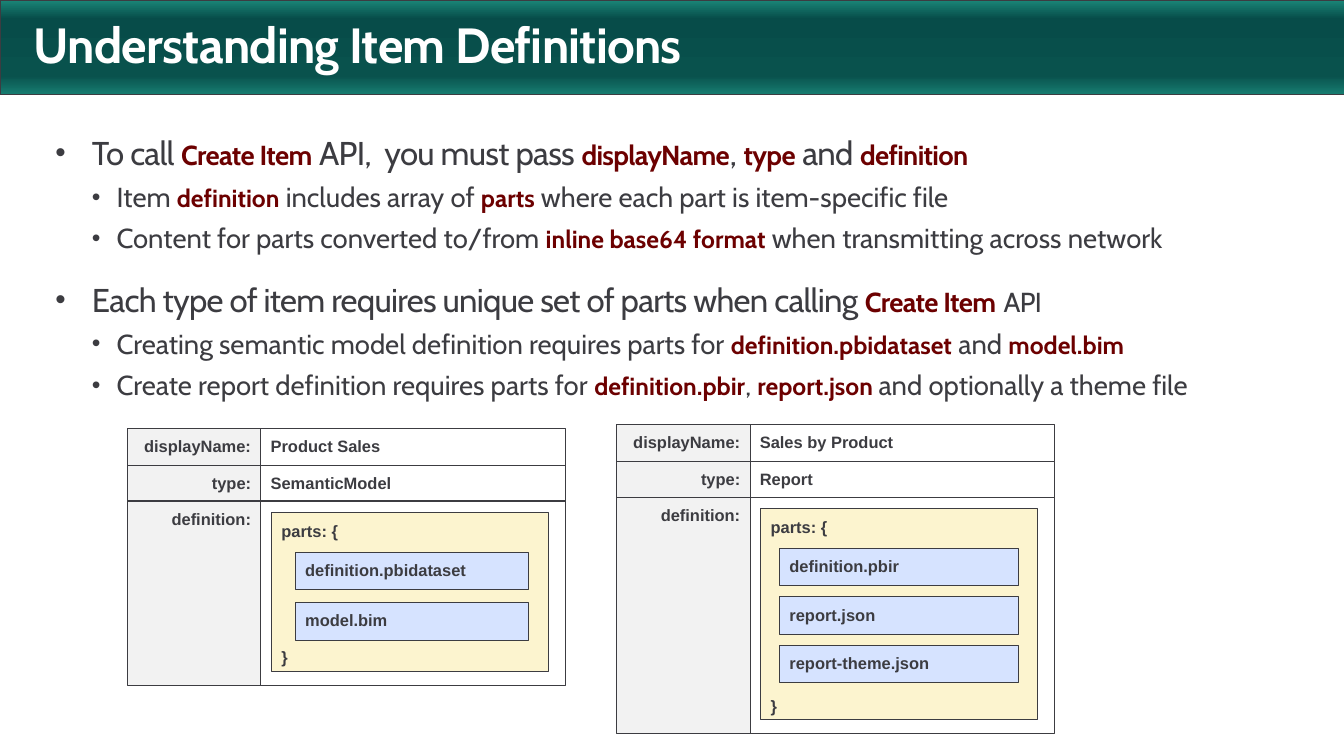
"""Builds the slide that explains item definitions."""
from dataclasses import dataclass

from lxml import etree
from pptx import Presentation
from pptx.dml.color import RGBColor
from pptx.enum.shapes import MSO_SHAPE
from pptx.enum.text import MSO_ANCHOR, MSO_AUTO_SIZE, PP_ALIGN
from pptx.oxml.ns import qn
from pptx.util import Inches, Pt

RECTANGLE = MSO_SHAPE.RECTANGLE
TOP, MIDDLE = MSO_ANCHOR.TOP, MSO_ANCHOR.MIDDLE
LEFT, RIGHT = PP_ALIGN.LEFT, PP_ALIGN.RIGHT
NO_AUTOFIT = MSO_AUTO_SIZE.NONE

INK, MAROON, WHITE = "3C3C41", "6C0000", "FFFFFF"
LABEL_GRAY, PARTS_YELLOW, FILE_BLUE = "F2F2F2", "FCF4CF", "D6E3FF"
BANNER_STOPS = ((1, "198375"), (20, "074C49"), (80, "09524D"), (100, "177D71"))
HEADING_FONT, CARD_FONT = "Cabin", "Arial"

LABEL_WIDTH, VALUE_WIDTH, PARTS_WIDTH = 1.35, 3.08, 2.8
ROW_HEIGHT, ROW_TOPS = 0.37, (0, 0.37, 0.73)
FILE_HEIGHT = 0.38


@dataclass(frozen=True)
class Phrase:
    text: str
    strong: bool = False
    size: int | None = None


@dataclass(frozen=True)
class BulletStyle:
    size: int
    strong_size: int
    margin: float
    hanging: float
    tracking: int


@dataclass(frozen=True)
class Bullet:
    level: int
    space_before: int
    phrases: tuple[Phrase, ...]


@dataclass(frozen=True)
class ItemCard:
    left: float
    top: float
    display_name: str
    item_type: str
    files: tuple[str, ...]
    definition_height: float
    file_inset: float
    file_width: float
    file_pitch: float
    brace_gap: int


def strong(text: str) -> Phrase:
    return Phrase(text, strong=True)


STYLES = (BulletStyle(24, 20, 0.37, 0.37, -50), BulletStyle(20, 18, 0.62, 0.25, 0))

BULLETS = (
    Bullet(0, 12, (Phrase("To call "), strong("Create Item"), Phrase(" API,  you must pass "),
                   strong("displayName"), Phrase(", "), strong("type"), Phrase(" and "),
                   strong("definition"))),
    Bullet(1, 6, (Phrase("Item "), strong("definition"), Phrase(" includes array of "),
                  strong("parts"), Phrase(" where each part is item-specific file"))),
    Bullet(1, 6, (Phrase("Content for parts converted to/from "), strong("inline base64 format"),
                  Phrase(" when transmitting across network"))),
    Bullet(0, 18, (Phrase("Each type of item requires unique set of parts when calling "),
                   strong("Create Item"), Phrase(" "), Phrase("API", size=20))),
    Bullet(1, 6, (Phrase("Creating semantic model definition requires parts for "),
                  strong("definition.pbidataset"), Phrase(" and "), strong("model.bim"))),
    Bullet(1, 6, (Phrase("Create report definition requires parts for "),
                  strong("definition.pbir"), Phrase(", "), strong("report.json "),
                  Phrase("and optionally a theme file"))),
)

CARDS = (
    ItemCard(1.29, 4.34, "Product Sales", "SemanticModel",
             ("definition.pbidataset", "model.bim"), 1.87, 1.7, 2.36, 0.51, 79),
    ItemCard(6.24, 4.3, "Sales by Product", "Report",
             ("definition.pbir", "report.json", "report-theme.json"), 2.39, 1.65, 2.42, 0.49, 118),
)


def rgb(value: str) -> RGBColor:
    return RGBColor.from_string(value)


def set_margins(frame, left: float = 0, top: float = 0, right: float = 0) -> None:
    frame.margin_left, frame.margin_top = Inches(left), Inches(top)
    frame.margin_right, frame.margin_bottom = Inches(right), 0
    frame.word_wrap = True
    frame.auto_size = NO_AUTOFIT


def add_box(shapes, left: float, top: float, width: float, height: float,
            fill: str, line_width: float = 0.75):
    box = shapes.add_shape(RECTANGLE, Inches(left), Inches(top), Inches(width), Inches(height))
    box.shadow.inherit = False
    box.fill.solid()
    box.fill.fore_color.rgb = rgb(fill)
    box.line.color.rgb = rgb(INK)
    box.line.width = Pt(line_width)
    return box


def write_lines(box, lines: tuple[str, ...], align=LEFT, anchor=MIDDLE, left: float = 0.1,
                top: float = 0, right: float = 0.1, gap: int = 0) -> None:
    frame = box.text_frame
    set_margins(frame, left, top, right)
    frame.vertical_anchor = anchor
    frame.text = "\n".join(lines)
    for paragraph in frame.paragraphs:
        paragraph.alignment = align
        paragraph.line_spacing = 0.9
        paragraph.font.name = CARD_FONT
        paragraph.font.size = Pt(12)
        paragraph.font.bold = True
        paragraph.font.color.rgb = rgb(INK)
    if gap:
        frame.paragraphs[-1].space_before = Pt(gap)


def add_banner(slide) -> None:
    banner = add_box(slide.shapes, 0, 0, 13.6, 0.96, BANNER_STOPS[0][1], 0.5)
    banner.fill.gradient()
    gradient = banner.element.spPr.find(qn("a:gradFill"))
    stops = gradient.find(qn("a:gsLst"))
    for stop in list(stops):
        stops.remove(stop)
    for position, color in BANNER_STOPS:
        stop = etree.SubElement(stops, qn("a:gs"), pos=str(position * 1000))
        etree.SubElement(stop, qn("a:srgbClr"), val=color)
    gradient.find(qn("a:lin")).set("ang", "5400000")
    slide.shapes.title.element.addprevious(banner.element)


def format_title(title) -> None:
    title.left, title.top = Inches(0.34), Inches(0.21)
    title.width, title.height = Inches(12.91), Inches(0.55)
    title.text_frame.text = "Understanding Item Definitions"
    set_margins(title.text_frame)
    title.text_frame.vertical_anchor = TOP
    paragraph = title.text_frame.paragraphs[0]
    paragraph.alignment = LEFT
    paragraph.line_spacing = 0.9
    paragraph.font.name = HEADING_FONT
    paragraph.font.size = Pt(36)
    paragraph.font.bold = True
    paragraph.font.color.rgb = rgb(WHITE)
    paragraph.runs[0].font._element.set("spc", "-50")


def write_bullet(paragraph, bullet: Bullet) -> None:
    style = STYLES[bullet.level]
    paragraph.level = bullet.level
    properties = paragraph._p.get_or_add_pPr()
    properties.set("marL", str(Inches(style.margin)))
    properties.set("indent", str(-Inches(style.hanging)))
    etree.SubElement(properties, qn("a:buSzPct"), val="90000")
    etree.SubElement(properties, qn("a:buFont"), typeface=CARD_FONT)
    etree.SubElement(properties, qn("a:buChar"), char="•")
    paragraph.space_before = Pt(bullet.space_before)
    paragraph.font.name = HEADING_FONT
    for phrase in bullet.phrases:
        run = paragraph.add_run()
        run.text = phrase.text
        run.font.size = Pt(phrase.size or (style.strong_size if phrase.strong else style.size))
        run.font.bold = phrase.strong
        run.font.color.rgb = rgb(MAROON if phrase.strong else INK)
        run.font._element.set("spc", str(style.tracking))


def add_bullets(slide) -> None:
    body = slide.shapes.add_textbox(Inches(0.56), Inches(1.34), Inches(12.69), Inches(3.58))
    frame = body.text_frame
    set_margins(frame)
    for index, bullet in enumerate(BULLETS):
        write_bullet(frame.add_paragraph() if index else frame.paragraphs[0], bullet)


def add_card(slide, card: ItemCard) -> None:
    shapes = slide.shapes.add_group_shape().shapes
    heights = (ROW_HEIGHT, ROW_HEIGHT, card.definition_height)
    rows = (("displayName:", card.display_name), ("type:", card.item_type), ("definition:", ""))
    for (label, value), offset, height in zip(rows, ROW_TOPS, heights):
        top = card.top + offset
        label_box = add_box(shapes, card.left, top, LABEL_WIDTH, height, LABEL_GRAY)
        value_box = add_box(shapes, card.left + LABEL_WIDTH, top, VALUE_WIDTH, height, WHITE)
        if value:
            write_lines(label_box, (label,), RIGHT, left=0)
            write_lines(value_box, (value,))
        else:
            write_lines(label_box, (label,), RIGHT, TOP, left=0, top=0.1)
    parts_box = add_box(shapes, card.left + 1.46, card.top + 0.85, PARTS_WIDTH,
                        card.definition_height - 0.26, PARTS_YELLOW)
    write_lines(parts_box, ("parts: {", "}"), anchor=TOP, top=0.1, gap=card.brace_gap)
    for index, file_name in enumerate(card.files):
        file_box = add_box(shapes, card.left + card.file_inset,
                           card.top + 1.25 + index * card.file_pitch,
                           card.file_width, FILE_HEIGHT, FILE_BLUE)
        write_lines(file_box, (file_name,), right=0)


def main() -> None:
    presentation = Presentation()
    presentation.slide_width, presentation.slide_height = Inches(13.6), Inches(7.65)
    slide = presentation.slides.add_slide(presentation.slide_layouts[5])
    format_title(slide.shapes.title)
    add_banner(slide)
    add_bullets(slide)
    for card in CARDS:
        add_card(slide, card)
    presentation.save("out.pptx")


if __name__ == "__main__":
    main()
